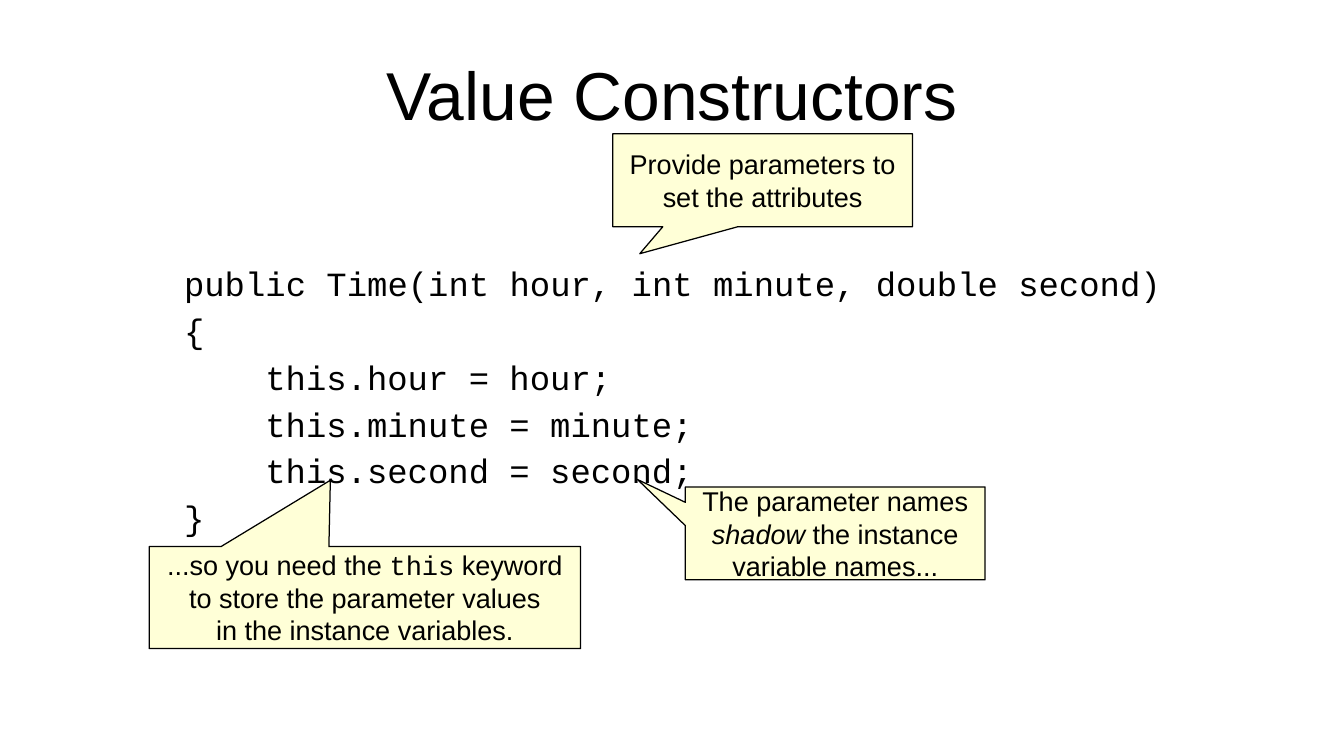
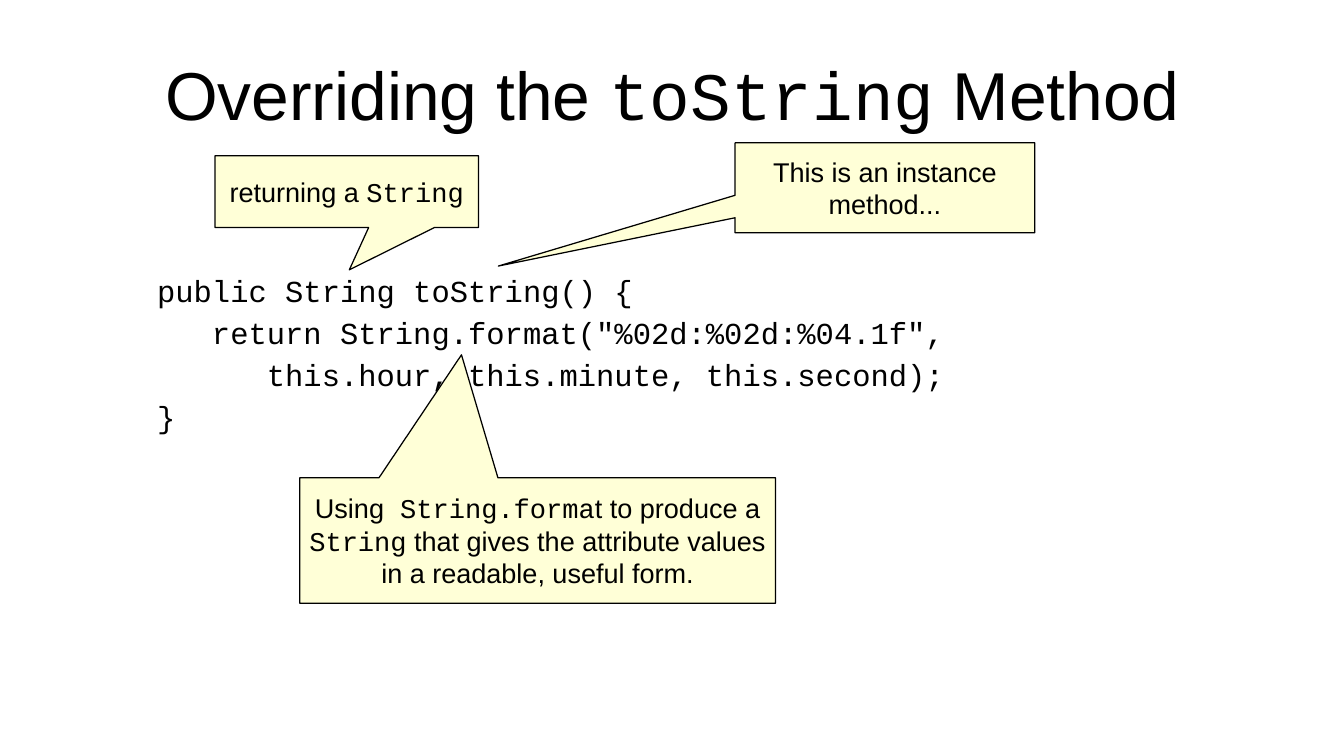
from pptx import Presentation
from pptx.dml.color import RGBColor
from pptx.enum.shapes import MSO_SHAPE
from pptx.enum.text import MSO_ANCHOR, MSO_AUTO_SIZE, PP_ALIGN
from pptx.util import Inches, Pt

CALLOUT = MSO_SHAPE.RECTANGULAR_CALLOUT
MIDDLE, TOP = MSO_ANCHOR.MIDDLE, MSO_ANCHOR.TOP
CENTER, LEFT = PP_ALIGN.CENTER, PP_ALIGN.LEFT
FIXED = MSO_AUTO_SIZE.NONE

BLACK = RGBColor(0x00, 0x00, 0x00)
CREAM = RGBColor(0xFF, 0xFF, 0xD7)
SANS, MONO = "Arial", "Courier New"

# Slide size; boxes are given in percent of it
WIDE, HIGH = Inches(11.02), Inches(6.2)
TITLE_BOX = (5, 4, 90, 16.8)
TITLE_SIZE, NOTE_SIZE = 40, 16
MONO_STEP = 0.6  # advance of one Courier character, in em

TITLE_FRAME = dict(vertical_anchor=MIDDLE, auto_size=FIXED, word_wrap=True,
                   margin_left=0, margin_right=0,
                   margin_top=0, margin_bottom=0)
CODE_FRAME = dict(vertical_anchor=TOP, word_wrap=True)
NOTE_FRAME = dict(vertical_anchor=MIDDLE, word_wrap=False)

# Each code line: (indent in characters, text).
# In titles and notes, `...` marks code and *...* marks italics.
# Each note: box, tip of the pointer, lines.
SLIDES = [
    dict(
        title="Value Constructors",
        box=(12.8, 33.2, 77, 36.6), size=20,
        code=[(0, "public Time(int hour, int minute, double second) {"),
              (4, "this.hour = hour;"),
              (4, "this.minute = minute;"),
              (4, "this.second = second;"),
              (0, "}")],
        notes=[
            ((45.6, 17.7, 22.3, 12.3), (-0.41, 0.79),
             ["Provide parameters to", "set the attributes"]),
            ((51, 64.4, 22.3, 12.3), (-0.66, -0.58),
             ["The parameter names", "*shadow* the instance",
              "variable names..."]),
            ((11.1, 72.3, 32.1, 13.5), (-0.08, -1.15),
             ["...so you need the `this` keyword",
              "to store the parameter values",
              "in the instance variables."]),
        ],
    ),
    dict(
        title="Overriding the `toString` Method",
        box=(10.8, 34.5, 68.1, 22.6), size=18,
        code=[(0, "public String toString() {"),
              (3, 'return String.format("%02d:%02d:%04.1f",'),
              (6, "this.hour, this.minute, this.second);"),
              (0, "}")],
        notes=[
            ((54.7, 18.9, 22.3, 11.9), (-1.29, 0.87),
             ["This is an instance", "method..."]),
            ((16, 20.6, 19.6, 9.5), (0.01, 1.09),
             ["returning a `String`"]),
            ((22.3, 63.2, 35.4, 16.6), (-0.16, -1.48),
             ["Using` String.forma`t to produce a",
              "`String` that gives the attribute values",
              "in a readable, useful form."]),
        ],
    ),
]


def place(box):
    """Turn percent shares into slide lengths."""
    return [round(share * side / 100)
            for share, side in zip(box, (WIDE, HIGH, WIDE, HIGH))]


def apply(item, form):
    for name, value in form.items():
        setattr(item, name, value)


def add_run(para, text, size, face, slant=False):
    run = para.add_run()
    run.text = text
    apply(run.font, dict(size=Pt(size), name=face, italic=slant))
    run.font.color.rgb = BLACK


def get_para(frame, index):
    return frame.add_paragraph() if index else frame.paragraphs[0]


def write(frame, lines, size, form):
    """Centred lines with marked code and italics."""
    apply(frame, form)
    for index, line in enumerate(lines):
        para = get_para(frame, index)
        para.alignment = CENTER
        for i, part in enumerate(line.split("`")):
            for j, text in enumerate(part.split("*")):
                if text:
                    add_run(para, text, size, MONO if i % 2 else SANS,
                            j % 2 == 1)


def add_code(slide, box, lines, size):
    frame = slide.shapes.add_textbox(*place(box)).text_frame
    apply(frame, CODE_FRAME)
    for index, (indent, text) in enumerate(lines):
        para = get_para(frame, index)
        apply(para, dict(alignment=LEFT, line_spacing=1.15))
        margin = Pt(indent * size * MONO_STEP)
        para._p.get_or_add_pPr().set("marL", str(margin))
        add_run(para, text, size, MONO)


def add_note(slide, box, tip, lines):
    note = slide.shapes.add_shape(CALLOUT, *place(box))
    note.adjustments[0], note.adjustments[1] = tip
    note.shadow.inherit = False
    note.fill.solid()
    note.fill.fore_color.rgb = CREAM
    note.line.color.rgb = BLACK
    note.line.width = Pt(0)
    write(note.text_frame, lines, NOTE_SIZE, NOTE_FRAME)


def main():
    deck = Presentation()
    apply(deck, dict(slide_width=WIDE, slide_height=HIGH))

    # Shared title position
    layout = deck.slide_layouts.get_by_name("Title Only")
    spot = dict(zip(("left", "top", "width", "height"), place(TITLE_BOX)))
    apply(layout.placeholders[0], spot)

    for page in SLIDES:
        slide = deck.slides.add_slide(layout)
        write(slide.shapes.title.text_frame, [page["title"]],
              TITLE_SIZE, TITLE_FRAME)
        add_code(slide, page["box"], page["code"], page["size"])
        for note in page["notes"]:
            add_note(slide, *note)

    deck.save("out.pptx")


main()
